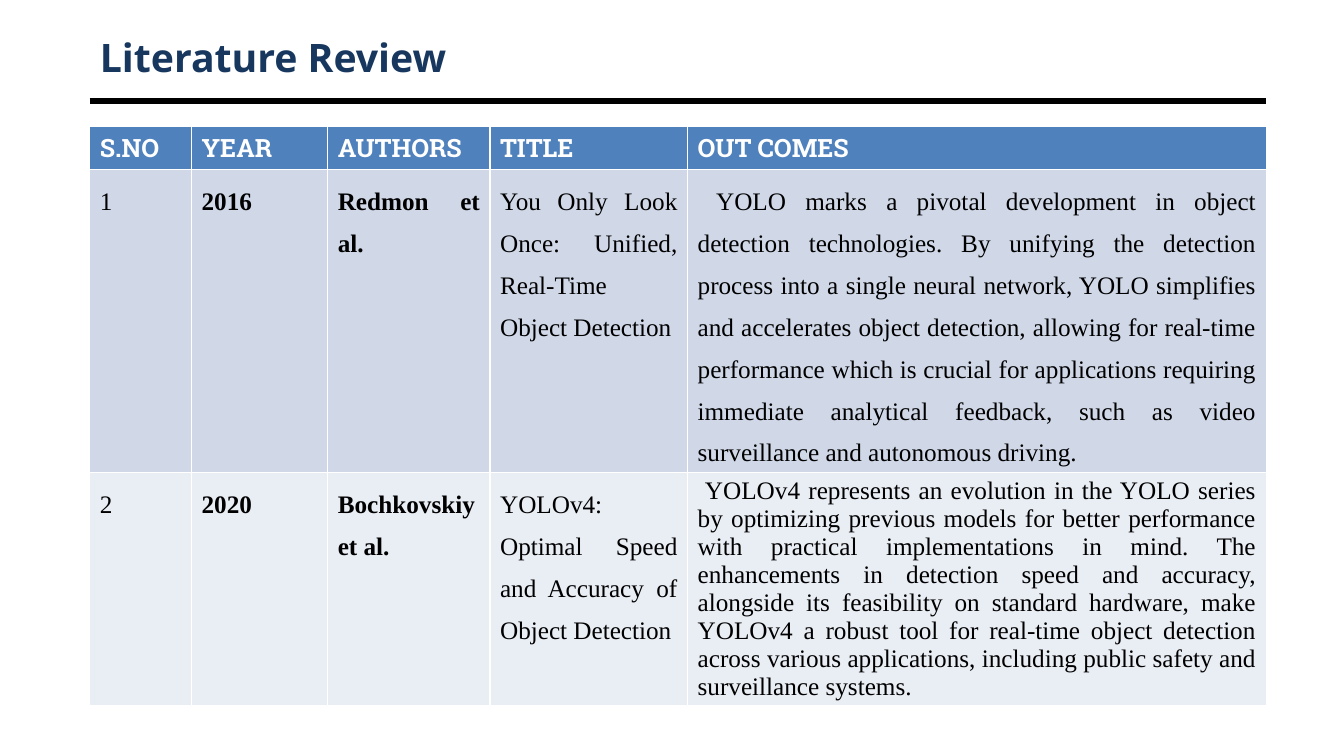
from pptx import Presentation
from pptx.dml.color import RGBColor
from pptx.enum.shapes import MSO_CONNECTOR
from pptx.enum.text import MSO_ANCHOR, MSO_AUTO_SIZE, PP_ALIGN
from pptx.oxml.ns import qn
from pptx.util import Inches, Pt

NAVY = RGBColor(0x17, 0x37, 0x5E)
BLUE = RGBColor(0x4F, 0x81, 0xBD)
PALE_BLUE = RGBColor(0xD0, 0xD8, 0xE8)
PALE_GREY = RGBColor(0xE9, 0xED, 0xF4)
BLACK = RGBColor(0, 0, 0)
WHITE = RGBColor(0xFF, 0xFF, 0xFF)

LEFT, WIDTH = Inches(0.89), Inches(11.67)
COLUMN_WIDTHS = [1.01, 1.35, 1.61, 1.96, 5.74]
ROW_HEIGHTS = [0.41, 3, 2.3]
ROW_FILLS = [BLUE, PALE_BLUE, PALE_GREY]
BOLD_COLUMNS = (1, 2)
ROWS = [
    ["S.NO", "YEAR", "AUTHORS", "TITLE", "OUT COMES"],
    ["1", "2016", "Redmon et al.",
     "You Only Look Once: Unified, Real-Time Object Detection",
     " YOLO marks a pivotal development in object detection technologies. "
     "By unifying the detection process into a single neural network, YOLO "
     "simplifies and accelerates object detection, allowing for real-time "
     "performance which is crucial for applications requiring immediate "
     "analytical feedback, such as video surveillance and autonomous driving."],
    ["2", "2020", "Bochkovskiy et al.",
     "YOLOv4: Optimal Speed and Accuracy of Object Detection",
     " YOLOv4 represents an evolution in the YOLO series by optimizing "
     "previous models for better performance with practical implementations "
     "in mind. The enhancements in detection speed and accuracy, alongside "
     "its feasibility on standard hardware, make YOLOv4 a robust tool for "
     "real-time object detection across various applications, including "
     "public safety and surveillance systems."],
]


def set_font(paragraph, name, size, color, bold):
    font = paragraph.font
    font.name, font.size, font.bold = name, Pt(size), bold
    font.color.rgb = color


presentation = Presentation()
presentation.slide_width = Inches(13.33)
presentation.slide_height = Inches(7.5)
slide = presentation.slides.add_slide(presentation.slide_layouts.get_by_name("Title Only"))

# Title and the rule below it
title = slide.shapes.title
title.left, title.top, title.width, title.height = LEFT, Inches(0.3), WIDTH, Inches(0.53)
title.text_frame.text = "Literature Review"
title.text_frame.auto_size = MSO_AUTO_SIZE.NONE
title.text_frame.vertical_anchor = MSO_ANCHOR.MIDDLE
heading = title.text_frame.paragraphs[0]
heading.alignment = PP_ALIGN.LEFT
set_font(heading, "Open Sans", 28, NAVY, True)

rule = slide.shapes.add_connector(
    MSO_CONNECTOR.STRAIGHT, LEFT, Inches(1), LEFT + WIDTH, Inches(1))
rule.line.color.rgb = BLACK
rule.line.width = Pt(4.5)
properties = rule.element.find(qn("p:spPr"))
properties.append(properties.makeelement(qn("a:effectLst"), {}))

# Review table; the default table style supplies the white borders
table = slide.shapes.add_table(
    len(ROWS), len(COLUMN_WIDTHS), LEFT, Inches(1.25), WIDTH,
    Inches(sum(ROW_HEIGHTS))).table
for column, width in zip(table.columns, COLUMN_WIDTHS):
    column.width = Inches(width)

for row_index, texts in enumerate(ROWS):
    table.rows[row_index].height = Inches(ROW_HEIGHTS[row_index])
    for column_index, text in enumerate(texts):
        cell = table.cell(row_index, column_index)
        cell.fill.solid()
        cell.fill.fore_color.rgb = ROW_FILLS[row_index]
        cell.text = text
        paragraph = cell.text_frame.paragraphs[0]
        if row_index == 0:
            set_font(paragraph, "Roboto Slab", 18, WHITE, True)
            continue
        set_font(paragraph, "Times New Roman", 18, BLACK, column_index in BOLD_COLUMNS)
        paragraph.alignment = PP_ALIGN.JUSTIFY
        # The last outcome is single-spaced so that the table fits the slide
        if (row_index, column_index) != (2, 4):
            paragraph.line_spacing = 1.5

presentation.save("out.pptx")
